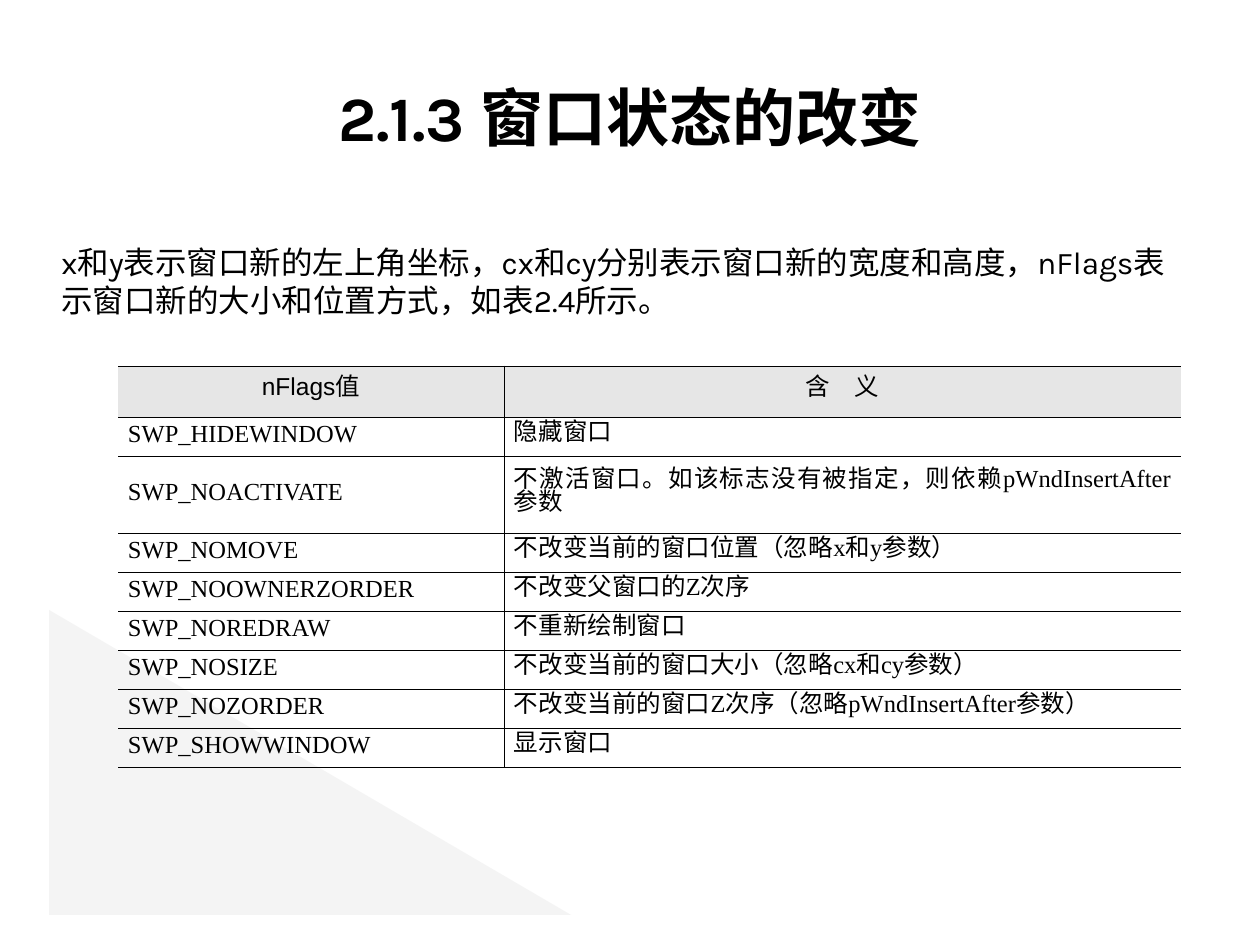
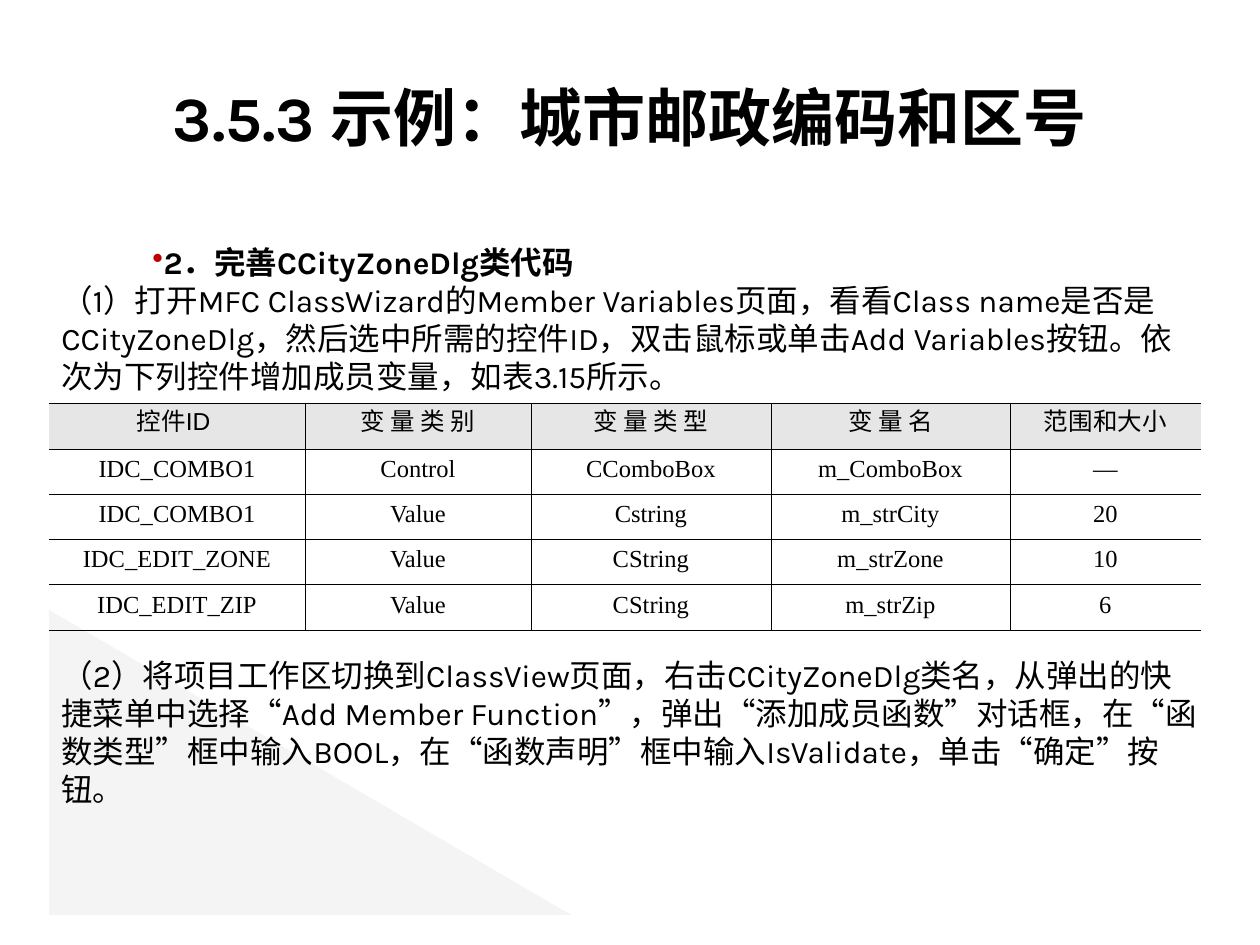
import pptx
import pptx.dml.color
import pptx.enum.lang
import pptx.enum.shapes
import pptx.enum.text
import pptx.oxml.ns
import pptx.util
from lxml import etree

# ---- Content ----
FLAGS_TITLE = "2.1.3 窗口状态的改变"
FLAGS_INTRO = "x和y表示窗口新的左上角坐标，cx和cy分别表示窗口新的宽度和高度，nFlags表示窗口新的大小和位置方式，如表2.4所示。"
FLAGS_ROWS = [
    ("nFlags值", "含　义"),
    ("SWP_HIDEWINDOW", "隐藏窗口"),
    ("SWP_NOACTIVATE", "不激活窗口。如该标志没有被指定，则依赖pWndInsertAfter 参数"),
    ("SWP_NOMOVE", "不改变当前的窗口位置（忽略x和y参数）"),
    ("SWP_NOOWNERZORDER", "不改变父窗口的Z次序"),
    ("SWP_NOREDRAW", "不重新绘制窗口"),
    ("SWP_NOSIZE", "不改变当前的窗口大小（忽略cx和cy参数）"),
    ("SWP_NOZORDER", "不改变当前的窗口Z次序（忽略pWndInsertAfter参数）"),
    ("SWP_SHOWWINDOW", "显示窗口"),
]

CITY_TITLE = "3.5.3 示例：城市邮政编码和区号"
CITY_HEADING = "2．完善CCityZoneDlg类代码"
CITY_STEP_1 = "（1）打开MFC ClassWizard的Member Variables页面，看看Class name是否是CCityZoneDlg，然后选中所需的控件ID，双击鼠标或单击Add Variables按钮。依次为下列控件增加成员变量，如表3.15所示。"
CITY_STEP_2 = "（2）将项目工作区切换到ClassView页面，右击CCityZoneDlg类名，从弹出的快捷菜单中选择“Add Member Function”，弹出“添加成员函数”对话框，在“函数类型”框中输入BOOL，在“函数声明”框中输入IsValidate，单击“确定”按钮。"
CITY_ROWS = [
    ("控件ID ", "变 量 类 别", "变 量 类 型", "变 量 名", "范围和大小"),
    ("IDC_COMBO1", "Control", "CComboBox", "m_ComboBox", "—"),
    ("IDC_COMBO1", "Value", "Cstring", "m_strCity", "20"),
    ("IDC_EDIT_ZONE", "Value", "CString", "m_strZone", "10"),
    ("IDC_EDIT_ZIP", "Value", "CString", "m_strZip", "6"),
]

# ---- Shared look ----
COLORS = {"text": "000000", "corner": "F2F2F2", "header": "E6E6E6", "bullet": "C00000"}
FONTS = {"main": "Karla", "header": "Arial", "cell": "Times New Roman"}
PX = 914400 / 126
TITLE_BOX = (63, 38, 1134, 157)
CORNER_BOX = (49, 610, 522, 305)
FIRST_LINE_INDENT = 91
BODY_LINE = 21.6
TABLE_LINE = 13
ALIGN = pptx.enum.text.PP_ALIGN
MIDDLE = pptx.enum.text.MSO_ANCHOR.MIDDLE
qn = pptx.oxml.ns.qn


def px(length):
    return pptx.util.Emu(round(length * PX))


def color(name):
    return pptx.dml.color.RGBColor.from_string(COLORS[name])


def write(paragraph, text, face, size, bold=False, align=ALIGN.LEFT, line=None):
    paragraph.text = text
    paragraph.alignment = align
    if line:
        paragraph.line_spacing = pptx.util.Pt(line)
    paragraph._p.get_or_add_pPr().set("hangingPunct", "0")
    font = paragraph.font
    font.name, font.size, font.bold = face, pptx.util.Pt(size), bold
    font.color.rgb = color("text")
    font.language_id = pptx.enum.lang.MSO_LANGUAGE_ID.SIMPLIFIED_CHINESE


def write_body(paragraph, text, bold=False):
    write(paragraph, text, FONTS["main"], 18, bold, line=BODY_LINE)


def add_bullet(paragraph):
    properties = paragraph._p.get_or_add_pPr()
    properties.set("marL", "0")
    properties.set("indent", str(px(FIRST_LINE_INDENT)))
    bullet_color = etree.SubElement(properties, qn("a:buClr"))
    etree.SubElement(bullet_color, qn("a:srgbClr"), val=COLORS["bullet"])
    etree.SubElement(properties, qn("a:buChar"), char="•")


def add_text_frame(slide, box):
    frame = slide.shapes.add_textbox(*map(px, box)).text_frame
    frame.word_wrap = True
    return frame


def add_titled_slide(presentation, title):
    slide = presentation.slides.add_slide(presentation.slide_layouts[6])
    # Pale corner triangle
    corner = slide.shapes.add_shape(
        pptx.enum.shapes.MSO_SHAPE.RIGHT_TRIANGLE, *map(px, CORNER_BOX))
    corner.shadow.inherit = False
    corner.line.fill.background()
    corner.fill.solid()
    corner.fill.fore_color.rgb = color("corner")
    shade = corner._element.spPr.find(qn("a:solidFill")).find(qn("a:srgbClr"))
    etree.SubElement(shade, qn("a:alpha"), val="83000")
    # Title
    frame = add_text_frame(slide, TITLE_BOX)
    frame.vertical_anchor = MIDDLE
    write(frame.paragraphs[0], title, FONTS["main"], 36, True, ALIGN.CENTER)
    return slide


def set_borders(cell, column, last_column):
    shown = {"lnL": column > 0, "lnR": column < last_column, "lnT": True, "lnB": True}
    properties = cell._tc.get_or_add_tcPr()
    for side, visible in shown.items():
        line = etree.SubElement(properties, qn(f"a:{side}"), w=str(pptx.util.Pt(0.45)))
        if visible:
            fill = etree.SubElement(line, qn("a:solidFill"))
            etree.SubElement(fill, qn("a:srgbClr"), val=COLORS["text"])
        else:
            etree.SubElement(line, qn("a:noFill"))


def add_ruled_table(slide, left, top, widths, heights, rows, body_align):
    table = slide.shapes.add_table(
        len(rows), len(widths), px(left), px(top), px(sum(widths)), px(sum(heights))).table
    table.first_row = table.horz_banding = False
    for column, width in zip(table.columns, widths):
        column.width = px(width)
    for row, height in zip(table.rows, heights):
        row.height = px(height)
    for row_index, values in enumerate(rows):
        is_header = row_index == 0
        for column_index, value in enumerate(values):
            cell = table.cell(row_index, column_index)
            cell.vertical_anchor = MIDDLE
            cell.margin_left = cell.margin_right = px(10)
            set_borders(cell, column_index, len(widths) - 1)
            if is_header:
                cell.fill.solid()
                cell.fill.fore_color.rgb = color("header")
            else:
                cell.fill.background()
            write(cell.text_frame.paragraphs[0], value,
                  FONTS["header" if is_header else "cell"], 14,
                  align=ALIGN.CENTER if is_header else body_align, line=TABLE_LINE)


def build_flags_slide(presentation):
    slide = add_titled_slide(presentation, FLAGS_TITLE)
    intro = add_text_frame(slide, (49, 237, 1152, 164))
    write_body(intro.paragraphs[0], FLAGS_INTRO)
    add_ruled_table(slide, 118, 366, [386, 677], [51, 39, 77] + [39] * 6,
                    FLAGS_ROWS, ALIGN.JUSTIFY)


def build_city_slide(presentation):
    slide = add_titled_slide(presentation, CITY_TITLE)
    first_step = add_text_frame(slide, (49, 237, 1152, 202))
    heading = first_step.paragraphs[0]
    add_bullet(heading)
    write_body(heading, CITY_HEADING, True)
    write_body(first_step.add_paragraph(), CITY_STEP_1)
    add_ruled_table(slide, 49, 403, [256, 226, 240, 239, 191], [46, 45, 45, 45, 46],
                    CITY_ROWS, ALIGN.CENTER)
    second_step = add_text_frame(slide, (49, 650, 1162, 202))
    write_body(second_step.paragraphs[0], CITY_STEP_2)


def main():
    presentation = pptx.Presentation()
    presentation.slide_width, presentation.slide_height = px(1260), px(945)
    build_flags_slide(presentation)
    build_city_slide(presentation)
    presentation.save("out.pptx")


if __name__ == "__main__":
    main()
